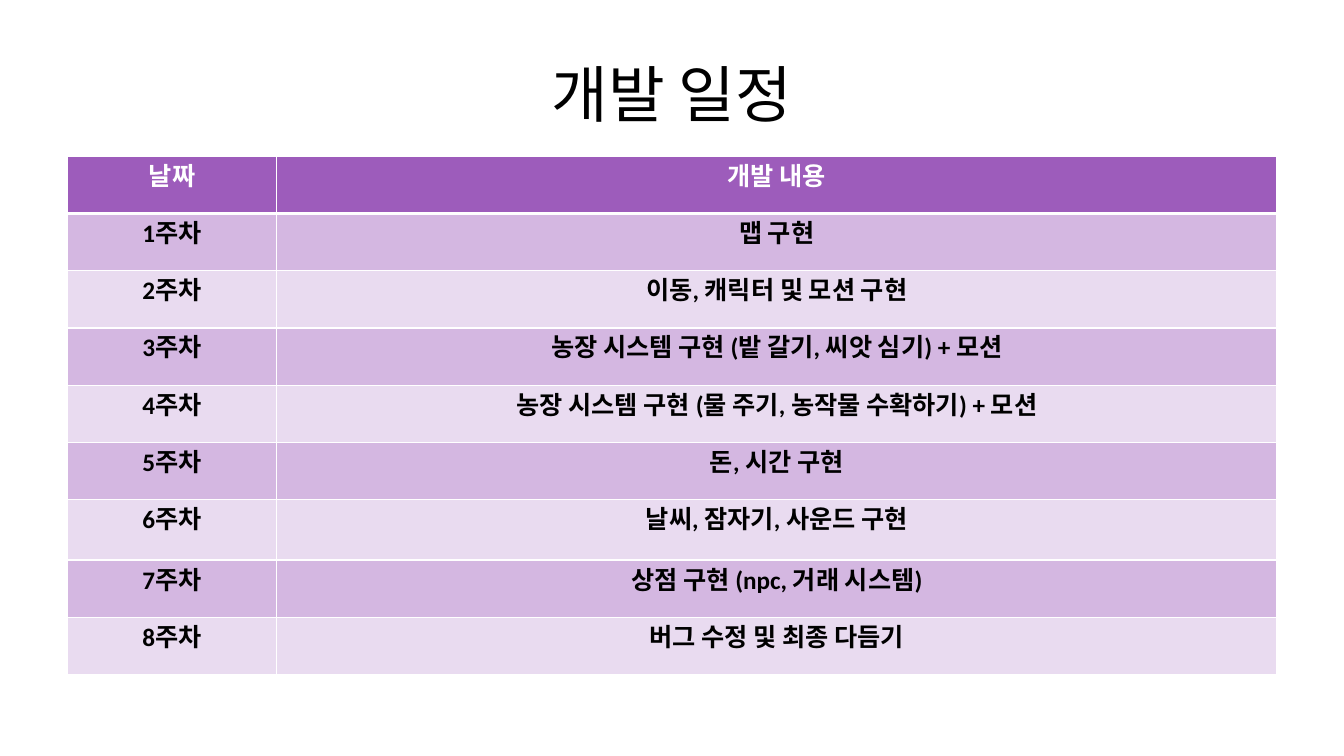
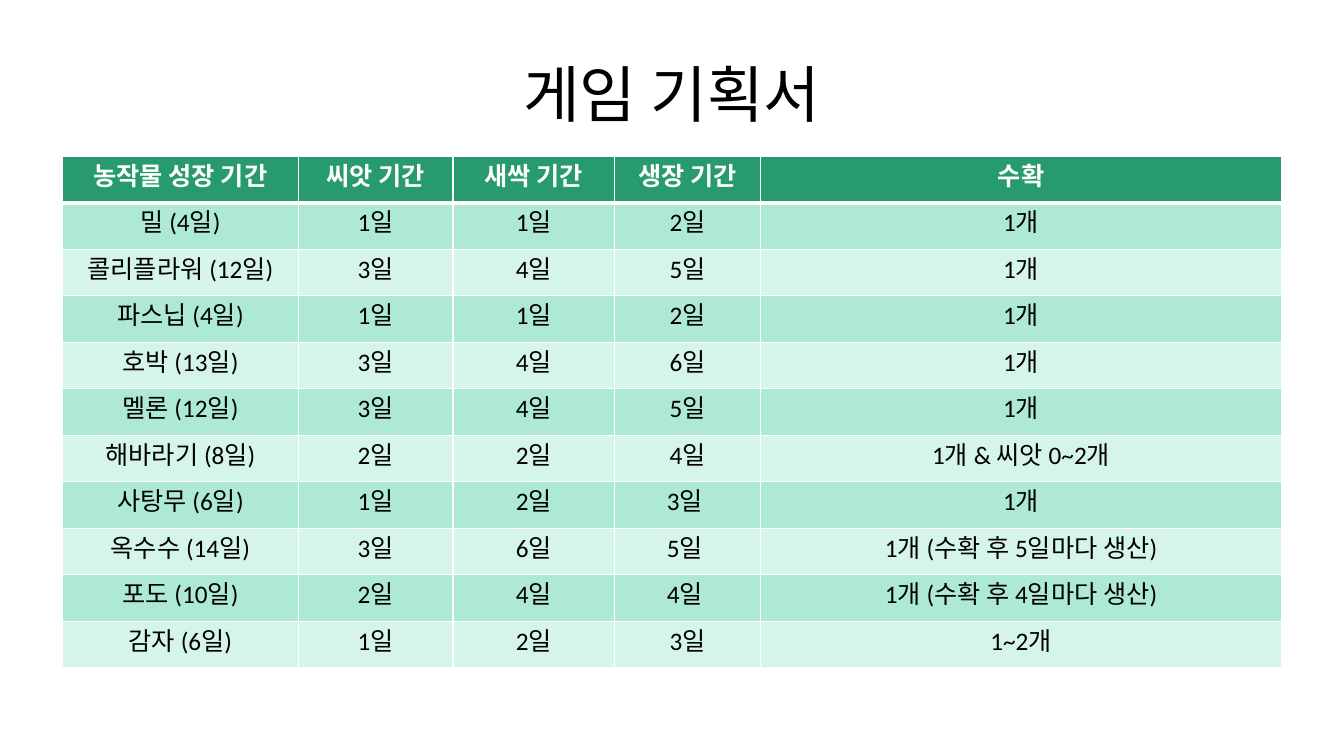
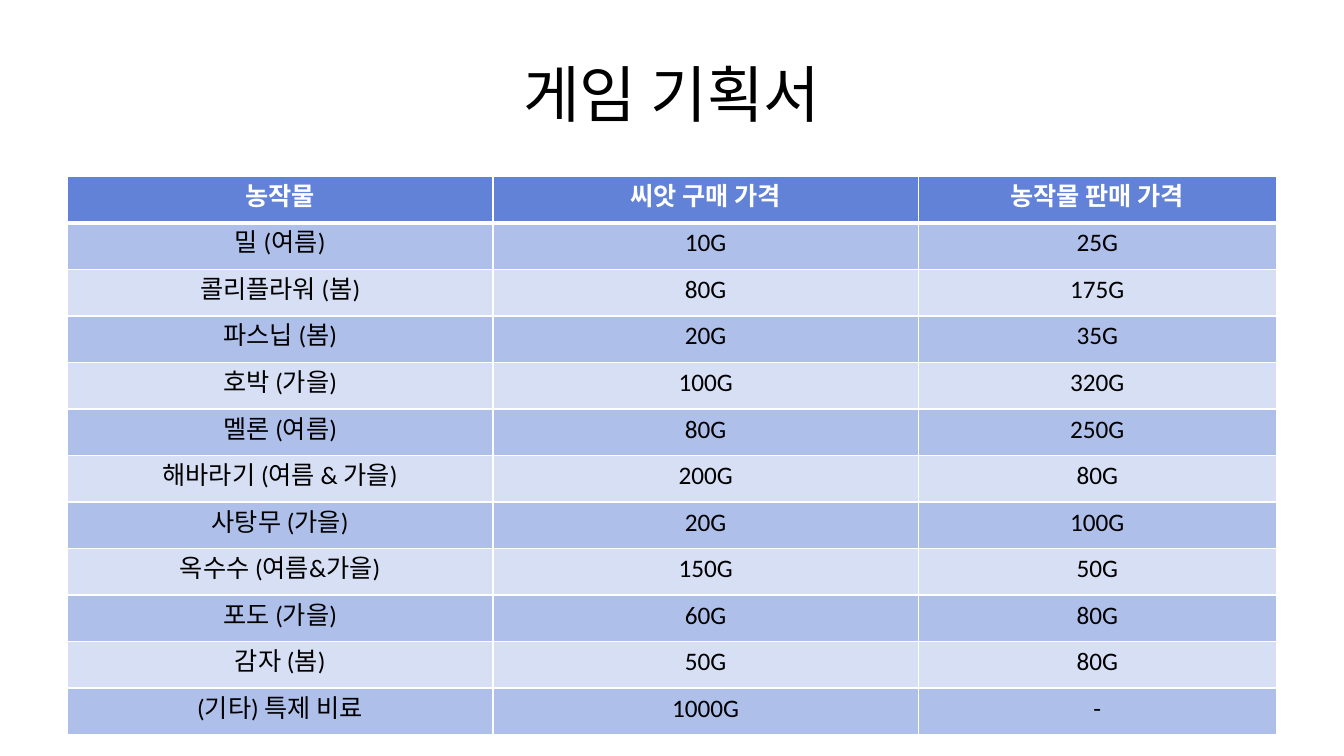
from dataclasses import dataclass

from lxml.etree import SubElement
from pptx import Presentation
from pptx.dml.color import RGBColor
from pptx.enum.text import MSO_ANCHOR, PP_ALIGN
from pptx.oxml.ns import qn
from pptx.util import Pt


@dataclass(frozen=True)
class Theme:
    font: str = "Calibri"
    title_size: int = 44
    table_size: int = 18
    text: str = "000000"
    light: str = "FFFFFF"
    grid: float = 1
    header_rule: float = 3
    # header, odd body rows, even body rows
    purple: tuple = ("9D5CBB", "D4B7E1", "E9DBF0")
    green: tuple = ("289B6E", "AEEAD3", "D6F5E9")
    blue: tuple = ("6182D6", "AEBFEA", "D7DFF4")


THEME = Theme()
SLIDE_SIZE = (960, 540)
TITLE_BOX = (48, 21.6, 864, 90)

SCHEDULE = [
    ("날짜", "개발 내용"),
    ("1주차", "맵 구현"),
    ("2주차", "이동, 캐릭터 및 모션 구현"),
    ("3주차", "농장 시스템 구현 (밭 갈기, 씨앗 심기) + 모션"),
    ("4주차", "농장 시스템 구현 (물 주기, 농작물 수확하기) + 모션"),
    ("5주차", "돈, 시간 구현"),
    ("6주차", "날씨, 잠자기, 사운드 구현"),
    ("7주차", "상점 구현 (npc, 거래 시스템)"),
    ("8주차", "버그 수정 및 최종 다듬기"),
]
GROWTH = [
    ("농작물 성장 기간", "씨앗 기간", "새싹 기간", "생장 기간", "수확"),
    ("밀 (4일)", "1일", "1일", "2일", "1개"),
    ("콜리플라워 (12일)", "3일", "4일", "5일", "1개"),
    ("파스닙 (4일)", "1일", "1일", "2일", "1개"),
    ("호박 (13일)", "3일", "4일", "6일", "1개"),
    ("멜론 (12일)", "3일", "4일", "5일", "1개"),
    ("해바라기 (8일)", "2일", "2일", "4일", "1개 & 씨앗 0~2개"),
    ("사탕무 (6일)", "1일", "2일", "3일 ", "1개"),
    ("옥수수 (14일)", "3일", "6일", "5일 ", "1개 (수확 후 5일마다 생산)"),
    ("포도 (10일)", "2일", "4일", "4일 ", "1개 (수확 후 4일마다 생산)"),
    ("감자 (6일)", "1일", "2일", "3일", "1~2개"),
]
PRICES = [
    ("농작물", "씨앗 구매 가격", "농작물 판매 가격"),
    ("밀 (여름)", "10G", "25G"),
    ("콜리플라워 (봄)", "80G", "175G"),
    ("파스닙 (봄)", "20G", "35G"),
    ("호박 (가을)", "100G", "320G"),
    ("멜론 (여름)", "80G", "250G"),
    ("해바라기 (여름 & 가을)", "200G", "80G"),
    ("사탕무 (가을)", "20G", "100G"),
    ("옥수수 (여름&가을)", "150G", "50G"),
    ("포도 (가을)", "60G", "80G"),
    ("감자 (봄)", "50G", "80G"),
    ("(기타) 특제 비료", "1000G", "-"),
]

SLIDES = [
    dict(title="개발 일정", rows=SCHEDULE, colors=THEME.purple, at=(48, 111.6),
         widths=(149.76, 714.24), row_height=40.9, tall_rows={6: 43.2}, bold=True),
    dict(title="게임 기획서", rows=GROWTH, colors=THEME.green, at=(44.64, 111.6),
         widths=(168.48, 110.5, 115.6, 103.9, 372.5), row_height=33.25),
    dict(title="게임 기획서", rows=PRICES, colors=THEME.blue, at=(48, 126),
         widths=(304.2, 303.8, 255.6), row_height=33.25),
]


def write(tf, text, size, color, bold=False):
    p = tf.paragraphs[0]
    p.alignment = PP_ALIGN.CENTER
    r = p.add_run()
    r.text = text
    r.font.name = THEME.font
    r.font.size = Pt(size)
    r.font.bold = bold
    r.font.color.rgb = RGBColor.from_string(color)
    SubElement(r._r.get_or_add_rPr(), qn("a:ea"), typeface=THEME.font)


def add_title(s, text):
    tf = s.shapes.add_textbox(*map(Pt, TITLE_BOX)).text_frame
    tf.word_wrap = True
    tf.vertical_anchor = MSO_ANCHOR.MIDDLE
    write(tf, text, THEME.title_size, THEME.text)


def set_borders(cell, top, bottom):
    tc_pr = cell._tc.get_or_add_tcPr()
    sides = {"L": THEME.grid, "R": THEME.grid, "T": top, "B": bottom}
    for side, width in sides.items():
        ln = SubElement(tc_pr, qn(f"a:ln{side}"), w=str(Pt(width)))
        fill = SubElement(ln, qn("a:solidFill"))
        SubElement(fill, qn("a:srgbClr"), val=THEME.light)


def add_banded_table(s, rows, colors, at, widths, row_height, tall_rows=None, bold=False):
    heights = [(tall_rows or {}).get(i, row_height) for i in range(len(rows))]
    box = (*at, sum(widths), sum(heights))
    table = s.shapes.add_table(len(rows), len(widths), *map(Pt, box)).table
    for column, width in zip(table.columns, widths):
        column.width = Pt(width)
    header, odd, even = colors
    for i, values in enumerate(rows):
        table.rows[i].height = Pt(heights[i])
        is_header = i == 0
        band = header if is_header else odd if i % 2 else even
        top = THEME.header_rule if i == 1 else THEME.grid
        bottom = THEME.header_rule if is_header else THEME.grid
        for j, value in enumerate(values):
            cell = table.cell(i, j)
            set_borders(cell, top, bottom)
            cell.fill.solid()
            cell.fill.fore_color.rgb = RGBColor.from_string(band)
            write(cell.text_frame, value, THEME.table_size,
                  THEME.light if is_header else THEME.text, is_header or bold)


def main():
    prs = Presentation()
    prs.slide_width, prs.slide_height = map(Pt, SLIDE_SIZE)
    for content in SLIDES:
        s = prs.slides.add_slide(prs.slide_layouts[6])
        table = dict(content)
        add_title(s, table.pop("title"))
        add_banded_table(s, **table)
    prs.save("out.pptx")


if __name__ == "__main__":
    main()
